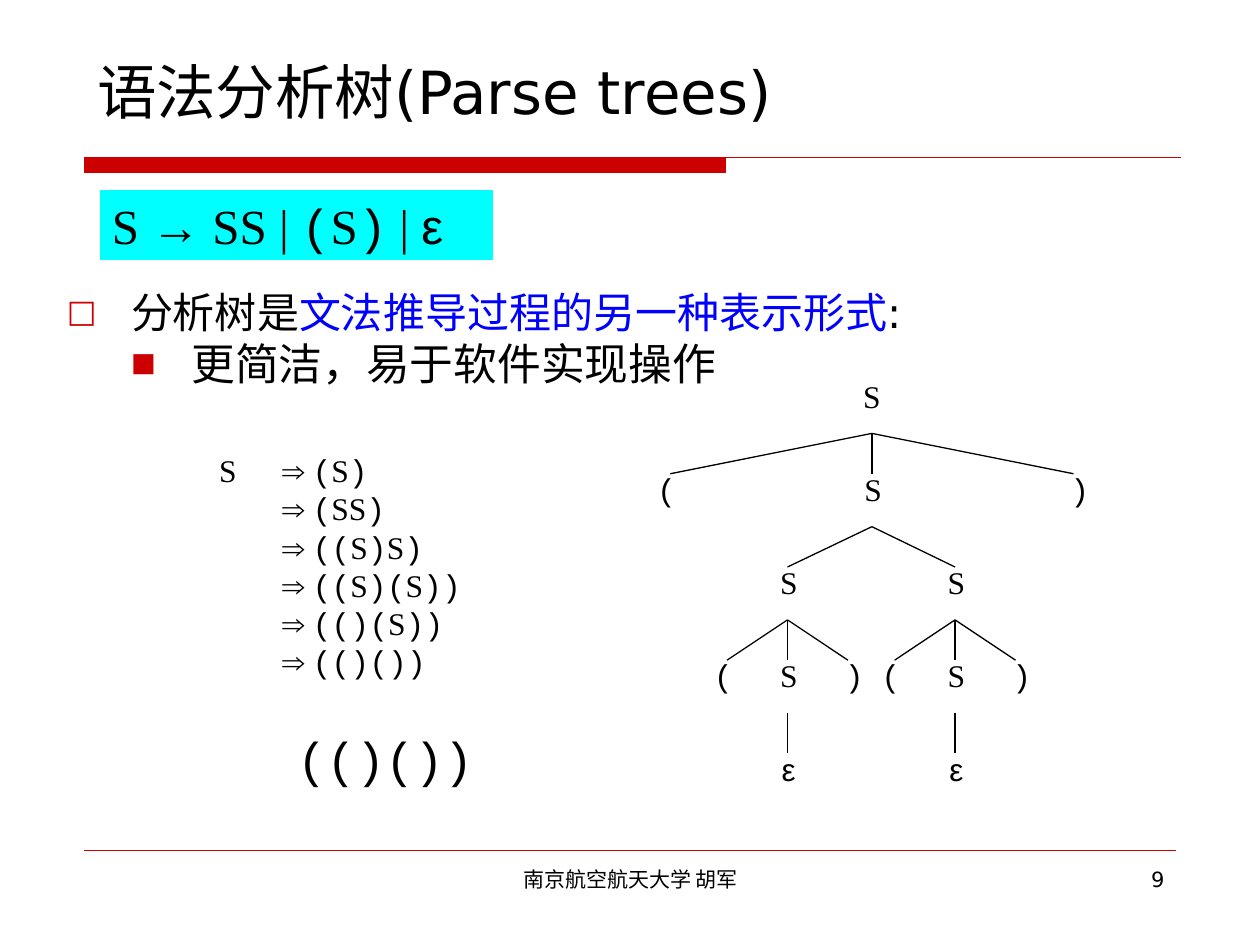
from itertools import groupby

from lxml.etree import SubElement
from pptx import Presentation
from pptx.dml.color import RGBColor
from pptx.enum.shapes import MSO_CONNECTOR, MSO_SHAPE
from pptx.enum.text import MSO_ANCHOR, MSO_AUTO_SIZE, PP_ALIGN
from pptx.oxml.ns import qn
from pptx.util import Inches, Pt

# Grid of 100 columns by 75 rows
prs = Presentation()
prs.slide_width, prs.slide_height = Inches(10), Inches(7.5)
CELL = prs.slide_width / 100
rgb = RGBColor.from_string
RED, BLACK = "CC0000", "000000"
SANS = "DejaVu Sans"
SYMBOL_FONTS = {"(": "Courier New", ")": "Courier New",
                "⇒": "Arial", "→": "Arial", "ε": "Arial"}


def grid(*cells):
    return [round(c * CELL) for c in cells]


def write(p, text, size, font=None, color=BLACK):
    """Add text to a paragraph; without a font, each symbol picks its own."""
    for name, chars in groupby(
            text, lambda ch: font or SYMBOL_FONTS.get(ch, "Times New Roman")):
        r = p.add_run()
        r.text = "".join(chars)
        for key, value in {"size": Pt(size), "name": name, "bold": False}.items():
            setattr(r.font, key, value)
        r.font.color.rgb = rgb(color)


s = prs.slides.add_slide(prs.slide_layouts[1])
shapes = s.shapes

# Red bar and rule under the title
builder = shapes.build_freeform(*grid(6.7, 12.5))
builder.add_line_segments([grid(57.6, 12.5), grid(57.6, 13.7), grid(6.7, 13.7)])
builder.move_to(*grid(6.7, 12.5))
builder.add_line_segments([grid(93.7, 12.5)], close=False)
bar = builder.convert_to_shape()
bar.shadow.inherit = False
bar.fill.solid()
bar.fill.fore_color.rgb = bar.line.color.rgb = rgb(RED)
bar.line.width = Pt(0.75)

# Title and body placeholders
title, body = shapes.title, s.placeholders[1]
for sp, box, anchor in [(title, (6.7, 3.6, 91.4, 7.2), MSO_ANCHOR.MIDDLE),
                        (body, (4.3, 23, 91.4, 9.7), MSO_ANCHOR.TOP)]:
    sp.left, sp.top, sp.width, sp.height = grid(*box)
    for key, value in {"auto_size": MSO_AUTO_SIZE.NONE, "word_wrap": True,
                       "vertical_anchor": anchor}.items():
        setattr(sp.text_frame, key, value)

p = title.text_frame.paragraphs[0]
p.alignment = PP_ALIGN.LEFT
write(p, "语法分析树(Parse trees)", 34, SANS)

bullets = [
    ("□", "75000", 0.51, 0.51, 0, 24, [("分析树是", BLACK),
     ("文法推导过程的另一种表示形式", "0000FF"), (":", BLACK)]),
    ("■", "60000", 0.99, 0.48, 6.2, 25, [("更简洁，易于软件实现操作", BLACK)]),
]
tf = body.text_frame
for level, (mark, scale, margin, hang, before, size, parts) in enumerate(bullets):
    p = tf.add_paragraph() if level else tf.paragraphs[0]
    p.level = level
    pPr = p._p.get_or_add_pPr()
    pPr.set("marL", str(Inches(margin)))
    pPr.set("indent", str(-Inches(hang)))
    SubElement(SubElement(pPr, qn("a:buClr")), qn("a:srgbClr"), val=RED)
    SubElement(pPr, qn("a:buSzPct"), val=scale)
    SubElement(pPr, qn("a:buFont"), typeface=SANS)
    SubElement(pPr, qn("a:buChar"), char=mark)
    p.line_spacing, p.space_before = 0.8, Pt(before)
    for text, color in parts:
        write(p, text, size, SANS, color)

# Derivation steps
tf = shapes.add_textbox(*grid(11.4, 35.9, 35, 18.6)).text_frame
tf.word_wrap = True
steps = ["(S)", "(SS)", "((S)S)", "((S)(S))", "(()(S))", "(()())"]
for i, step in enumerate(steps):
    p = tf.add_paragraph() if i else tf.paragraphs[0]
    pPr = p._p.get_or_add_pPr()
    pPr.set("marL", str(Inches(0.5)))
    pPr.set("indent", "0")
    SubElement(SubElement(pPr, qn("a:tabLst")), qn("a:tab"),
               pos=str(Inches(1)), algn="l")
    p.line_spacing, p.space_before = 0.8, Pt(4.5 if i else 0)
    write(p, ("\t" if i else "S \t") + "⇒ " + step, 18)

# Grammar rule
rule = shapes.add_shape(MSO_SHAPE.RECTANGLE, *grid(7.9, 15, 31.3, 5.7))
rule.shadow.inherit = False
rule.fill.solid()
rule.fill.fore_color.rgb = rgb("00FFFF")
rule.line.color.rgb = rgb("FFFFFF")
rule.line.width = Pt(0.75)
rule.text_frame.vertical_anchor = MSO_ANCHOR.TOP
p = rule.text_frame.paragraphs[0]
p.alignment = PP_ALIGN.LEFT
write(p, "S → SS | (S) | ε", 28)

# Parse tree: (level, parent column, [(child, column of its edge)])
STEP, NODE_W, NODE_H = 7.4, 3.5, 4
MID, LEFT, RIGHT = 69.2, 62.5, 75.8
branches = [(0, MID, [("(", MID - 16), ("S", MID), (")", MID + 16)]),
            (1, MID, [("S", LEFT), ("S", RIGHT)])]
for x in (LEFT, RIGHT):
    branches += [(2, x, [("(", x - 4.8), ("S", x), (")", x + 4.8)]),
                 (3, x, [("ε", x)])]

NUDGE = {"(": -0.3, ")": 0.5}
nodes = [("S", MID, 29.4)]
lines = [(6.7, 67.5, 93.3, 67.5, RED, 0.25)]
for level, parent, children in branches:
    fork = 34.4 + STEP * level
    for text, x in children:
        lines.append((parent, fork, x, fork + 3.2, BLACK, 0.75))
        nodes.append((text, x + NUDGE.get(text, 0.1), 29.4 + STEP * (level + 1)))

for *ends, color, width in lines:
    line = shapes.add_connector(MSO_CONNECTOR.STRAIGHT, *grid(*ends))
    line.line.color.rgb = rgb(color)
    line.line.width = Pt(width)
    SubElement(line._element.spPr, qn("a:effectLst"))

# Tree labels, derived string and footer
labels = [(text, (x - NODE_W / 2, y, NODE_W, NODE_H), 18, None, PP_ALIGN.CENTER, False)
          for text, x, y in nodes]
labels += [
    ("(()())", (22.6, 57.3, 16, 5.7), 28, None, PP_ALIGN.LEFT, False),
    ("南京航空航天大学 胡军", (34.2, 68.3, 31.7, 5.2), 12, SANS, PP_ALIGN.CENTER, True),
    ("9", (71.7, 68.3, 21.7, 5.2), 12, SANS, PP_ALIGN.RIGHT, True),
]
for text, box, size, font, align, wrap in labels:
    tf = shapes.add_textbox(*grid(*box)).text_frame
    tf.word_wrap = wrap
    p = tf.paragraphs[0]
    p.alignment = align
    write(p, text, size, font)

prs.save("out.pptx")
